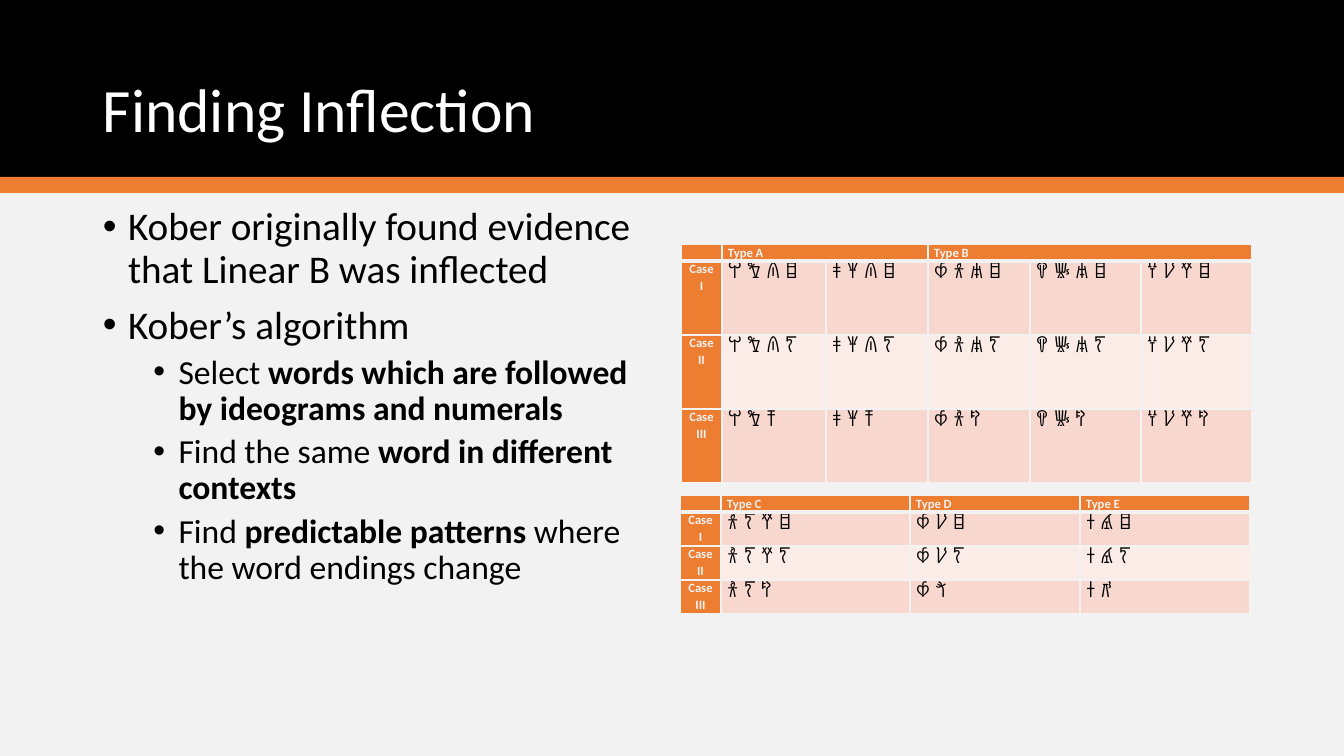
from lxml import etree
from pptx import Presentation
from pptx import util as u
from pptx.dml.color import RGBColor
from pptx.enum import shapes, text
from pptx.oxml.ns import qn

EMU_PER_PX = 12192000 / 1344
BLACK, WHITE, PAPER, ORANGE = "000000", "FFFFFF", "F2F2F2", "ED7D31"
BANDS = ["F8D7CE", "FCECE8"]
CASES = ["Case I", "Case II", "Case III"]
HEAD = {"size": u.Pt(9), "name": "Calibri", "bold": True}
SIGNS = {"size": u.Pt(14), "name": "Open Sans", "bold": False}
CELL = {"line_spacing": 1.07, "space_after": u.Pt(8)}

BULLETS = [
    (0, [("Kober originally found evidence that Linear B was inflected", False)]),
    (0, [("Kober’s algorithm", False)]),
    (1, [("Select ", False),
         ("words which are followed by ideograms and numerals", True)]),
    (1, [("Find the same ", False), ("word in different contexts", True)]),
    (1, [("Find ", False), ("predictable patterns ", True),
         ("where the word endings change", False)]),
]
TYPES_AB = [
    ["𐀬 𐀑 𐀴 𐀊", "𐀞 𐀂 𐀴 𐀊", "𐀶 𐀪 𐀯 𐀊", "𐀒 𐀜 𐀯 𐀊", "𐀦 𐀖 𐀛 𐀊"],
    ["𐀬 𐀑 𐀴 𐀍", "𐀞 𐀂 𐀴 𐀍", "𐀶 𐀪 𐀯 𐀍", "𐀒 𐀜 𐀯 𐀍", "𐀦 𐀖 𐀛 𐀍"],
    ["𐀬 𐀑 𐀵", "𐀞 𐀂 𐀵", "𐀶 𐀪 𐀰", "𐀒 𐀜 𐀰", "𐀦 𐀖 𐀛 𐀰"],
]
TYPES_CDE = [
    ["𐀪 𐀍 𐀛 𐀊", "𐀶 𐀖 𐀊", "𐀫 𐀹 𐀊"],
    ["𐀪 𐀍 𐀛 𐀍", "𐀶 𐀖 𐀍", "𐀫 𐀹 𐀍"],
    ["𐀪 𐀍 𐀰", "𐀶 𐀗", "𐀫 𐀺"],
]


def px(n):
    """Turn pixels into EMU."""
    return u.Emu(round(n * EMU_PER_PX))


def rgb(value):
    """Turn a hex string into a colour."""
    return RGBColor.from_string(value)


def apply(obj, values):
    """Set each named attribute on an object."""
    for name, value in values.items():
        setattr(obj, name, value)


def add_run(p, words, color, fmt):
    """Append a formatted run to a paragraph."""
    r = p.add_run()
    r.text = words
    apply(r.font, fmt)
    r.font.color.rgb = rgb(color)


def add_bar(slide, box, color, line=None):
    """Add a plain filled rectangle."""
    sp = slide.shapes.add_shape(shapes.MSO_SHAPE.RECTANGLE, *map(px, box))
    sp.shadow.inherit = False
    sp.fill.solid()
    sp.fill.fore_color.rgb = rgb(color)
    if line:
        sp.line.color.rgb = rgb(line)
        sp.line.width = u.Pt(1)
    else:
        sp.line.fill.background()


def add_textbox(slide, box, anchor):
    """Add a wrapping text box and return its text frame."""
    tf = slide.shapes.add_textbox(*map(px, box)).text_frame
    apply(tf, {"word_wrap": True, "vertical_anchor": anchor})
    return tf


def add_title(slide, words):
    """Add the slide title."""
    tf = add_textbox(slide, (93, 40, 1159, 146), text.MSO_ANCHOR.MIDDLE)
    p = tf.paragraphs[0]
    p.line_spacing = 0.9
    add_run(p, words, WHITE, {"size": u.Pt(44), "name": "Calibri"})


def add_bullets(slide, items):
    """Add the two-level bullet list."""
    tf = add_textbox(slide, (93, 202, 572, 480), text.MSO_ANCHOR.TOP)
    for i, (level, runs) in enumerate(items):
        p = tf.add_paragraph() if i else tf.paragraphs[0]
        apply(p, {"level": level, "line_spacing": 0.9,
                  "space_before": u.Pt(5 if level else 10)})
        pPr = p._p.get_or_add_pPr()
        pPr.set("marL", str(u.Inches(0.75 if level else 0.25)))
        pPr.set("indent", str(-u.Inches(0.25)))
        etree.SubElement(pPr, qn("a:buFont"), typeface="Arial")
        etree.SubElement(pPr, qn("a:buChar"), char="•")
        for words, bold in runs:
            add_run(p, words, BLACK, {"size": u.Pt(24 if level else 28),
                                      "name": "Calibri", "bold": bold})


def set_borders(cell, bottom):
    """Draw the cell's four borders, with the bottom width in points."""
    tcPr = cell._tc.get_or_add_tcPr()
    for i, (side, width) in enumerate(zip("LRTB", (1, 1, 1, bottom))):
        ln = etree.Element(qn("a:ln" + side), w=str(u.Pt(width)))
        fill = etree.SubElement(ln, qn("a:solidFill"))
        etree.SubElement(fill, qn("a:srgbClr"), val=PAPER)
        tcPr.insert(i, ln)


def fill_cell(cell, words, fill, color, fmt, align, bottom):
    """Format one table cell and write its text."""
    apply(cell, {"margin_left": px(6), "margin_right": px(6),
                 "margin_top": 0, "margin_bottom": 0})
    cell.fill.solid()
    cell.fill.fore_color.rgb = rgb(fill)
    set_borders(cell, bottom)
    p = cell.text_frame.paragraphs[0]
    apply(p, {**CELL, "alignment": align})
    if words:
        add_run(p, words, color, fmt)
    else:
        etree.SubElement(p._p, qn("a:endParaRPr"), sz="900")


def add_case_table(slide, left, top, cols, row_height, types, words):
    """Add a table of cases, with types given as (name, column span)."""
    heights = [17] + [row_height] * len(words)
    box = map(px, (left, top, sum(cols), sum(heights)))
    table = slide.shapes.add_table(len(heights), len(cols), *box).table
    for col, width in zip(table.columns, cols):
        col.width = px(width)
    for row, height in zip(table.rows, heights):
        row.height = px(height)
    header = [""]
    for name, span in types:
        header += [name] + [""] * (span - 1)
    grid = [header] + [[case] + row for case, row in zip(CASES, words)]
    for y, row in enumerate(grid):
        for x, value in enumerate(row):
            is_head = y == 0 or x == 0
            fill_cell(table.cell(y, x), value,
                      ORANGE if is_head else BANDS[(y - 1) % 2],
                      PAPER if is_head else BLACK,
                      HEAD if is_head else SIGNS,
                      text.PP_ALIGN.CENTER if y and not x else text.PP_ALIGN.LEFT,
                      1 if y else 3)
    x = 1
    for _, span in types:
        if span > 1:
            table.cell(0, x).merge(table.cell(0, x + span - 1))
        x += span


def main():
    """Build the slide and save it."""
    prs = Presentation()
    apply(prs, {"slide_width": px(1344), "slide_height": px(756)})
    slide = prs.slides.add_slide(prs.slide_layouts[6])
    slide.background.fill.solid()
    slide.background.fill.fore_color.rgb = rgb(PAPER)
    add_bar(slide, (0, 0, 1344, 186), BLACK, BLACK)
    add_bar(slide, (-6, 177, 1358, 16), ORANGE)
    add_title(slide, "Finding Inflection")
    add_bullets(slide, BULLETS)
    add_case_table(slide, 681, 244, [41, 104, 102, 102, 111, 111], 74,
                   [("Type A", 2), ("Type B", 3)], TYPES_AB)
    add_case_table(slide, 680, 495, [41, 189, 170, 170], 34,
                   [("Type C", 1), ("Type D", 1), ("Type E", 1)], TYPES_CDE)
    prs.save("out.pptx")


if __name__ == "__main__":
    main()
